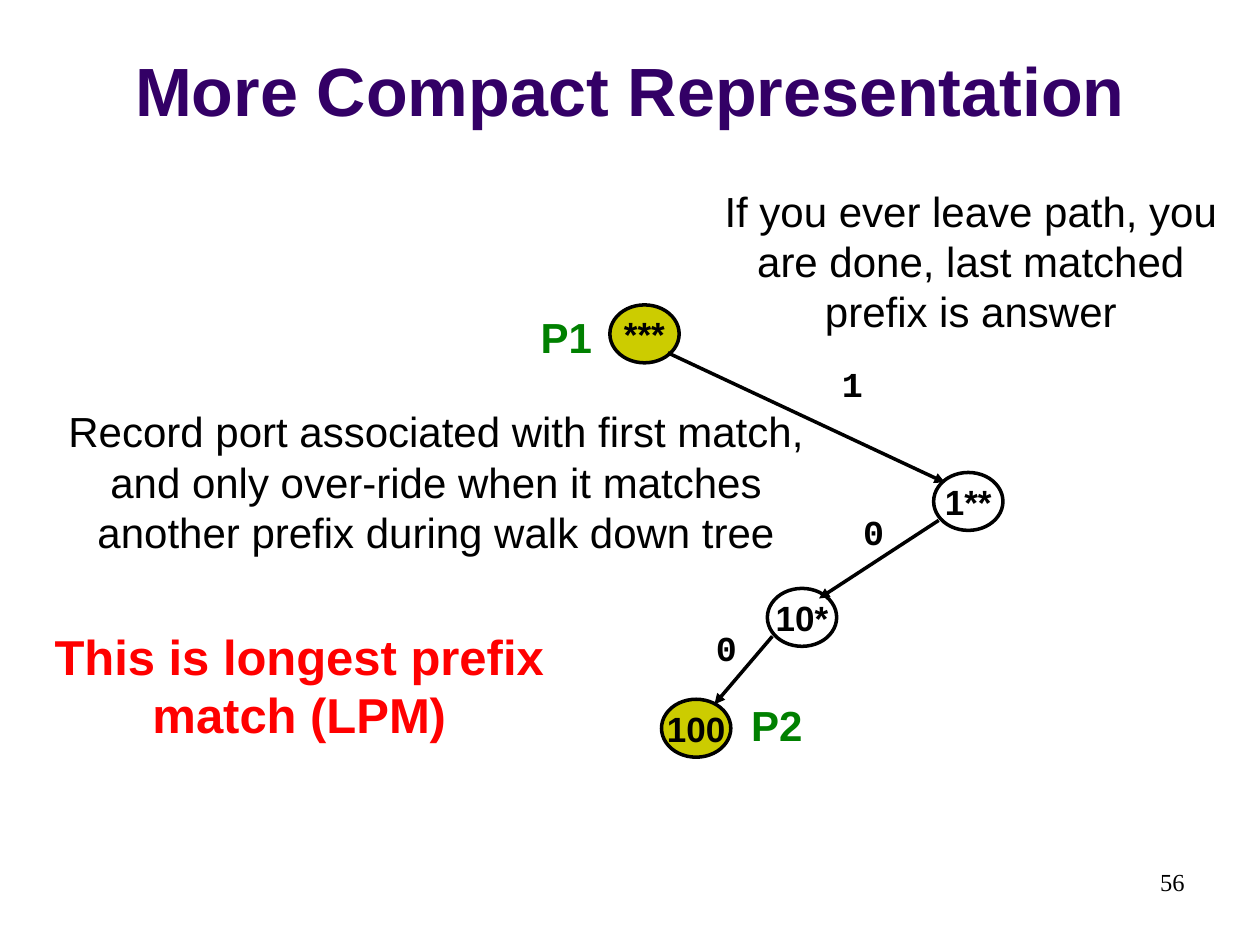
from pptx import Presentation
from pptx.dml.color import RGBColor
from pptx.enum.shapes import MSO_CONNECTOR, MSO_SHAPE
from pptx.enum.text import MSO_ANCHOR, PP_ALIGN
from pptx.oxml.ns import qn
from pptx.util import Inches, Pt
from lxml import etree

CENTER, RIGHT = PP_ALIGN.CENTER, PP_ALIGN.RIGHT
TITLE_ONLY = 5
BLACK, WHITE, OLIVE, GREEN, RED, PURPLE = (
    "000000", "FFFFFF", "CCCC00", "008000", "FF0000", "330066")

TITLE = "More Compact Representation"
NODE_SIZE = (0.55, 0.46)
LABEL_SIZE = (0.53, 0.43)
PORT_SIZE = (0.83, 0.5)

# text, left, top, fill
NODES = [
    ("***", 4.84, 2.42, OLIVE),
    ("1**", 7.41, 3.75, WHITE),
    ("10*", 6.09, 4.67, WHITE),
    ("100", 5.25, 5.55, OLIVE),
]
# start, end, bit, left and top of the bit
EDGES = [
    ((5.3, 2.8), (7.5, 3.83), "1", (6.5, 2.83)),
    ((7.45, 4.13), (6.5, 4.75), "0", (6.67, 4)),
    ((6.13, 5.05), (5.67, 5.59), "0", (5.5, 4.92)),
]
PORTS = [("P1", 4.08, 2.42), ("P2", 5.75, 5.5)]
# text, box, size, colour, bold
NOTES = [
    ("Record port associated with first match, and only over-ride when it "
     "matches another prefix during walk down tree",
     (0.42, 3.17, 6.08, 1.31), 24, BLACK, False),
    ("This is longest prefix match (LPM)",
     (0.25, 4.92, 4.25, 1.04), 28, RED, True),
    ("If you ever leave path, you are done, last matched prefix is answer",
     (5.58, 1.42, 4.25, 1.31), 24, BLACK, False),
]
PAGE_NUMBER = ("56", (7.17, 6.83, 2.33, 0.5))


def color(hex_text):
    return RGBColor.from_string(hex_text)


def write(shape, text, size, hex_text=BLACK, bold=True, font="Arial",
          align=CENTER):
    paragraph = shape.text_frame.paragraphs[0]
    paragraph.alignment = align
    run = paragraph.add_run()
    run.text = text
    run.font.name = font
    run.font.size = Pt(size)
    run.font.bold = bold
    run.font.color.rgb = color(hex_text)


def add_text(slide, text, box, size, **style):
    shape = slide.shapes.add_textbox(*map(Inches, box))
    shape.text_frame.word_wrap = True
    write(shape, text, size, **style)


def add_node(slide, text, left, top, fill):
    shape = slide.shapes.add_shape(
        MSO_SHAPE.OVAL, *map(Inches, (left, top, *NODE_SIZE)))
    shape.shadow.inherit = False
    shape.fill.solid()
    shape.fill.fore_color.rgb = color(fill)
    shape.line.color.rgb = color(BLACK)
    shape.line.width = Pt(2)
    shape.text_frame.word_wrap = False
    shape.text_frame.vertical_anchor = MSO_ANCHOR.MIDDLE
    write(shape, text, 20)


def add_arrow(slide, start, end):
    arrow = slide.shapes.add_connector(
        MSO_CONNECTOR.STRAIGHT, *map(Inches, (*start, *end)))
    arrow.line.color.rgb = color(BLACK)
    arrow.line.width = Pt(2)
    etree.SubElement(arrow.line._get_or_add_ln(), qn("a:tailEnd"), type="triangle")
    etree.SubElement(arrow._element.spPr, qn("a:effectLst"))


def main():
    presentation = Presentation()
    presentation.slide_width = Inches(10)
    presentation.slide_height = Inches(7.5)
    slide = presentation.slides.add_slide(
        presentation.slide_layouts[TITLE_ONLY])

    title = slide.shapes.title
    title.left, title.top, title.width, title.height = map(
        Inches, (0, 0.13, 10, 0.95))
    title.text_frame.vertical_anchor = MSO_ANCHOR.BOTTOM
    write(title, TITLE, 39, PURPLE)

    for node in NODES:
        add_node(slide, *node)
    for start, end, bit, position in EDGES:
        add_arrow(slide, start, end)
        add_text(slide, bit, (*position, *LABEL_SIZE), 20, font="Courier New")
    for port, left, top in PORTS:
        add_text(slide, port, (left, top, *PORT_SIZE), 24, hex_text=GREEN)
    for text, box, size, hex_text, bold in NOTES:
        add_text(slide, text, box, size, hex_text=hex_text, bold=bold)
    add_text(slide, *PAGE_NUMBER, 14, bold=False, font="Times New Roman",
             align=RIGHT)

    presentation.save("out.pptx")


if __name__ == "__main__":
    main()
